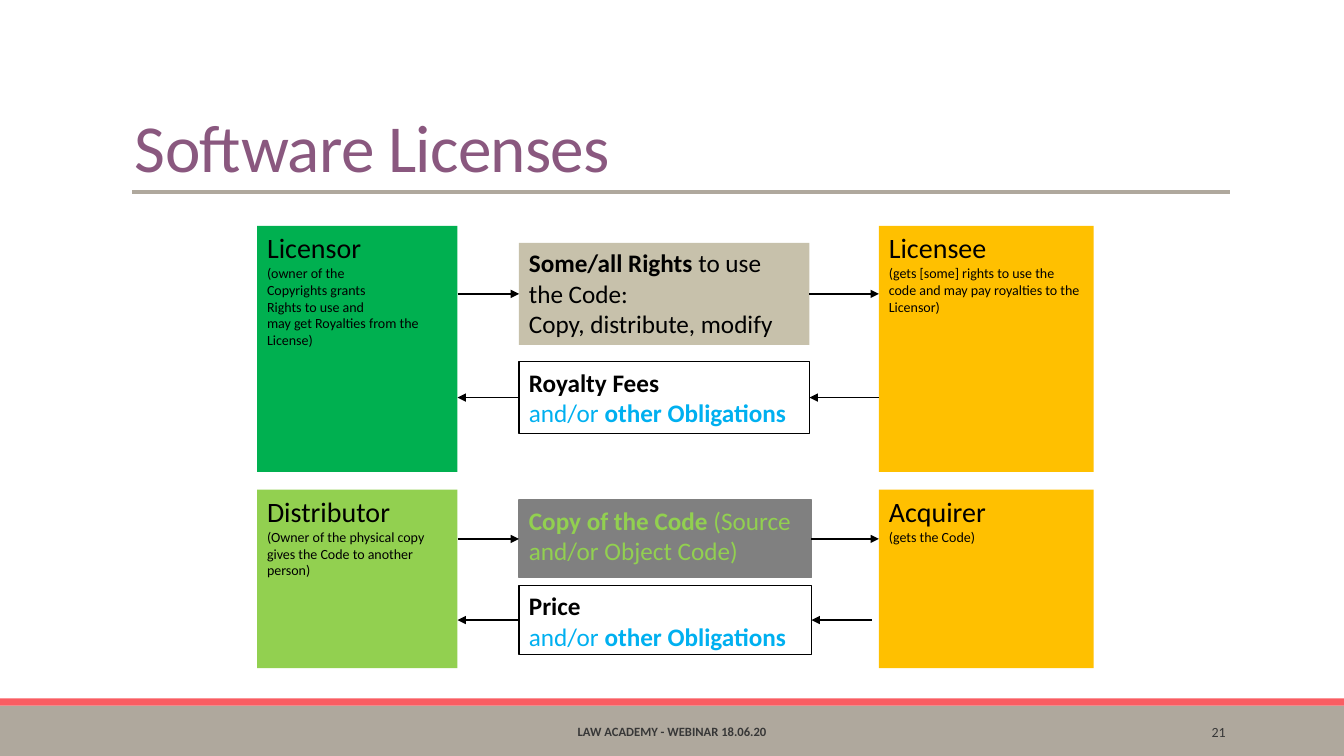
from lxml import etree
from pptx import Presentation
from pptx.dml.color import RGBColor
from pptx.enum.shapes import MSO_CONNECTOR, MSO_SHAPE
from pptx.enum.text import MSO_ANCHOR, PP_ALIGN
from pptx.oxml.ns import qn
from pptx.util import Cm, Pt

RECTANGLE = MSO_SHAPE.RECTANGLE
STRAIGHT = MSO_CONNECTOR.STRAIGHT
TOP, MIDDLE, BOTTOM = MSO_ANCHOR.TOP, MSO_ANCHOR.MIDDLE, MSO_ANCHOR.BOTTOM
LEFT, CENTER, RIGHT = PP_ALIGN.LEFT, PP_ALIGN.CENTER, PP_ALIGN.RIGHT
LEFT_SIDE, RIGHT_SIDE = 1, 3

BLACK = RGBColor(0x00, 0x00, 0x00)
DARK_GRAY = RGBColor(0x37, 0x37, 0x37)
GRAY = RGBColor(0x80, 0x80, 0x80)
TAUPE = RGBColor(0xAF, 0xA8, 0x9D)
BEIGE = RGBColor(0xC7, 0xC1, 0xAB)
CORAL = RGBColor(0xF9, 0x5D, 0x62)
PURPLE = RGBColor(0x8A, 0x58, 0x7F)
GREEN = RGBColor(0x00, 0xB0, 0x50)
LIME = RGBColor(0x92, 0xD0, 0x50)
AMBER = RGBColor(0xFF, 0xC0, 0x00)
BLUE = RGBColor(0x00, 0xB0, 0xF0)

FONT = "Calibri"
LEFT_CARD, LEFT_CARD_WIDTH = 6.48, 5.05
RIGHT_CARD, RIGHT_CARD_WIDTH = 22.15, 5.41
MIDDLE_BOX = 13.08
OBLIGATIONS = [("and/or ", False), ("other Obligations", True)]


def set_font(paragraph, size, color, bold=None):
    """Set the font that all runs of a paragraph share."""
    font = paragraph.font
    font.name, font.size, font.bold = FONT, Pt(size), bold
    font.color.rgb = color


def next_paragraph(frame, index):
    """Return the first paragraph of a frame or append another one."""
    return frame.add_paragraph() if index else frame.paragraphs[0]


def add_box(slide, left, top, width, height, fill=None, line=None):
    """Add a rectangle with wrapped text starting at its top left."""
    shape = slide.shapes.add_shape(RECTANGLE, Cm(left), Cm(top), Cm(width), Cm(height))
    shape.shadow.inherit = False
    if fill is None:
        shape.fill.background()
    else:
        shape.fill.solid()
        shape.fill.fore_color.rgb = fill
    if line is None:
        shape.line.fill.background()
    else:
        shape.line.color.rgb = line
        shape.line.width = Pt(0.75)
    shape.text_frame.word_wrap = True
    shape.text_frame.vertical_anchor = TOP
    return shape


def add_card(slide, left, top, width, height, fill, heading, details):
    """Add a party card with a heading and small detail lines."""
    frame = add_box(slide, left, top, width, height, fill).text_frame
    for index, text in enumerate([heading, *details]):
        paragraph = next_paragraph(frame, index)
        paragraph.alignment = LEFT
        set_font(paragraph, 10 if index else 20, BLACK)
        paragraph.add_run().text = text


def add_exchange(slide, top, width, height, fill, line, paragraphs):
    """Add a middle box from (color, [(text, bold)]) paragraphs."""
    shape = add_box(slide, MIDDLE_BOX, top, width, height, fill, line)
    for index, (color, runs) in enumerate(paragraphs):
        paragraph = next_paragraph(shape.text_frame, index)
        paragraph.alignment = LEFT
        set_font(paragraph, 18, color)
        for text, bold in runs:
            run = paragraph.add_run()
            run.text = text
            run.font.bold = bold
    return shape


def add_line(slide, begin, end, color, width):
    """Add a straight connector without a shadow."""
    connector = slide.shapes.add_connector(STRAIGHT, *begin, *end)
    connector.line.color.rgb = color
    connector.line.width = Pt(width)
    etree.SubElement(connector._element.spPr, qn("a:effectLst"))
    return connector


def add_arrow(slide, box, side, outer, inward):
    """Add a level arrow between a middle box side and an outer position."""
    y = box.top + box.height // 2
    inner_point = (box.left if side == LEFT_SIDE else box.left + box.width, y)
    outer_point = (Cm(outer), y)
    if inward:
        connector = add_line(slide, outer_point, inner_point, BLACK, 1)
        connector.end_connect(box, side)
    else:
        connector = add_line(slide, inner_point, outer_point, BLACK, 1)
        connector.begin_connect(box, side)
    line = connector.line._get_or_add_ln()
    etree.SubElement(line, qn("a:tailEnd"), type="triangle")


def add_text(slide, left, top, width, height, text, size, color, alignment, anchor, bold=None):
    """Add a one-line text box and return its run."""
    box = slide.shapes.add_textbox(Cm(left), Cm(top), Cm(width), Cm(height))
    frame = box.text_frame
    frame.word_wrap = True
    frame.vertical_anchor = anchor
    paragraph = frame.paragraphs[0]
    paragraph.alignment = alignment
    set_font(paragraph, size, color, bold)
    run = paragraph.add_run()
    run.text = text
    return run


def add_frame(slide):
    """Add the title, its rule and the footer."""
    add_box(slide, 0, 17.78, 33.87, 1.27, TAUPE)
    add_box(slide, 0, 17.6, 33.87, 0.18, CORAL)
    add_line(slide, (Cm(3.33), Cm(4.83)), (Cm(30.99), Cm(4.83)), TAUPE, 3)
    title = add_text(slide, 3.15, 0.79, 18.24, 4.04, "Software Licenses", 48, PURPLE, LEFT, BOTTOM)
    title._r.get_or_add_rPr().set("spc", "-50")
    slide.shapes[-1].text_frame.paragraphs[0].line_spacing = 0.85
    add_text(slide, 10.24, 17.93, 13.39, 1.02, "LAW ACADEMY - WEBINAR 18.06.20",
             9, DARK_GRAY, CENTER, MIDDLE, True)
    add_text(slide, 27.51, 17.93, 3.63, 1.02, "21", 10, DARK_GRAY, RIGHT, MIDDLE)


def main():
    """Build the software licenses slide."""
    presentation = Presentation()
    presentation.slide_width, presentation.slide_height = Cm(33.87), Cm(19.05)
    slide = presentation.slides.add_slide(presentation.slide_layouts[6])
    add_frame(slide)

    cards = [
        (5.69, 6.2, GREEN, "Licensor",
         ["(owner of the", "Copyrights grants", "Rights to use and",
          "may get Royalties from the License)"],
         "Licensee",
         ["(gets [some] rights to use the code and may pay royalties to the Licensor)"]),
        (12.34, 4.5, LIME, "Distributor",
         ["(Owner of the physical copy", "gives the Code to another person)"],
         "Acquirer", ["(gets the Code)"]),
    ]
    for top, height, fill, giver, giver_details, taker, taker_details in cards:
        add_card(slide, LEFT_CARD, top, LEFT_CARD_WIDTH, height, fill, giver, giver_details)
        add_card(slide, RIGHT_CARD, top, RIGHT_CARD_WIDTH, height, AMBER, taker, taker_details)

    rights = [(BLACK, [("Some/all Rights ", True), ("to use the Code:", False)]),
              (BLACK, [("Copy, distribute, modify", False)])]
    royalty = [(BLACK, [("Royalty Fees", True)]), (BLUE, OBLIGATIONS)]
    code = [(LIME, [("Copy of the Code ", True), ("(Source and/or Object Code)", False)])]
    price = [(BLACK, [("Price", True)]), (BLUE, OBLIGATIONS)]
    exchanges = [
        (6.12, 7.32, 2.57, BEIGE, None, rights, True, RIGHT_CARD),
        (9.12, 7.32, 1.8, None, BLACK, royalty, False, RIGHT_CARD),
        (12.6, 7.37, 1.96, GRAY, GRAY, code, True, RIGHT_CARD),
        (14.76, 7.37, 1.73, None, BLACK, price, False, 21.97),
    ]
    for top, width, height, fill, line, paragraphs, to_right, right_end in exchanges:
        box = add_exchange(slide, top, width, height, fill, line, paragraphs)
        add_arrow(slide, box, LEFT_SIDE, LEFT_CARD + LEFT_CARD_WIDTH, to_right)
        add_arrow(slide, box, RIGHT_SIDE, right_end, not to_right)

    presentation.save("out.pptx")


if __name__ == "__main__":
    main()
